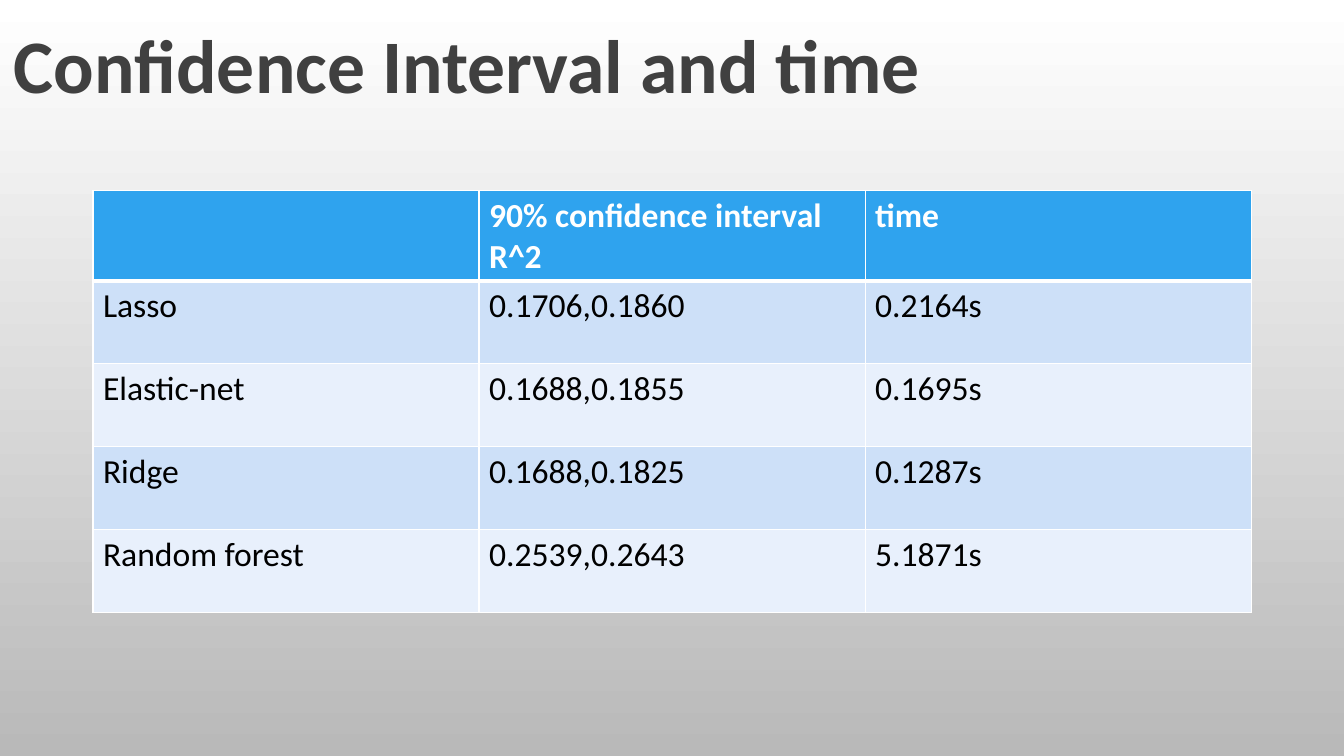
from lxml.etree import SubElement
from pptx import Presentation
from pptx.dml.color import RGBColor
from pptx.enum.text import MSO_ANCHOR, MSO_AUTO_SIZE, PP_ALIGN
from pptx.oxml.ns import qn
from pptx.util import Pt


def rgb(value):
    return RGBColor.from_string(value)


def add_borders(cell, bottom):
    """Draw white cell borders, with the given bottom width in points."""
    tcPr = cell._tc.get_or_add_tcPr()
    widths = {"a:lnL": 1, "a:lnR": 1, "a:lnT": 1, "a:lnB": bottom}
    for i, (tag, width) in enumerate(widths.items()):
        ln = SubElement(tcPr, qn(tag), w=str(Pt(width)))
        fill = SubElement(ln, qn("a:solidFill"))
        SubElement(fill, qn("a:srgbClr"), val="FFFFFF")
        tcPr.insert(i, ln)  # borders come before the cell fill


prs = Presentation()
prs.slide_width, prs.slide_height = Pt(960), Pt(540)
s = prs.slides.add_slide(prs.slide_layouts[5])

# Background: white at the top to grey at the bottom
bg = s.background.fill
bg.gradient()
bg.gradient_angle = 270
for stop, color, position in zip(bg.gradient_stops, ("FFFFFF", "B9B9B9"), (0, 1)):
    stop.color.rgb = rgb(color)
    stop.position = position

# Title
title = s.shapes.title
title.left, title.top, title.width, title.height = Pt(0), Pt(9.4), Pt(667.4), Pt(72.7)
tf = title.text_frame
tf.text = "Confidence Interval and time"
tf.word_wrap = False
tf.auto_size = MSO_AUTO_SIZE.SHAPE_TO_FIT_TEXT
tf.vertical_anchor = MSO_ANCHOR.TOP
p = tf.paragraphs[0]
p.alignment = PP_ALIGN.CENTER
p.font.name, p.font.size, p.font.bold = "Calibri", Pt(54), True
p.font.color.rgb = rgb("404040")

# Results table
rows = [
    ("", "90% confidence interval R^2", "time"),
    ("Lasso", "0.1706,0.1860", "0.2164s"),
    ("Elastic-net", "0.1688,0.1855", "0.1695s"),
    ("Ridge", "0.1688,0.1825", "0.1287s"),
    ("Random forest", "0.2539,0.2643", "5.1871s"),
]
table = s.shapes.add_table(
    len(rows), 3, Pt(66.4), Pt(135.8), Pt(827.4), Pt(302.4)
).table
for column in table.columns:
    column.width = Pt(275.8)

for i, row in enumerate(rows):
    header = i == 0
    table.rows[i].height = Pt(58.4 if header else 59.2)
    band = "2FA3EE" if header else ("E8F0FC", "CDE0F8")[i % 2]
    for j, text in enumerate(row):
        cell = table.cell(i, j)
        cell.fill.solid()
        cell.fill.fore_color.rgb = rgb(band)
        add_borders(cell, bottom=3 if header else 1)
        if text:
            cell.text = text
            font = cell.text_frame.paragraphs[0].font
            font.name, font.size, font.bold = "Calibri", Pt(24), header
            font.color.rgb = rgb("FFFFFF" if header else "000000")

prs.save("out.pptx")
